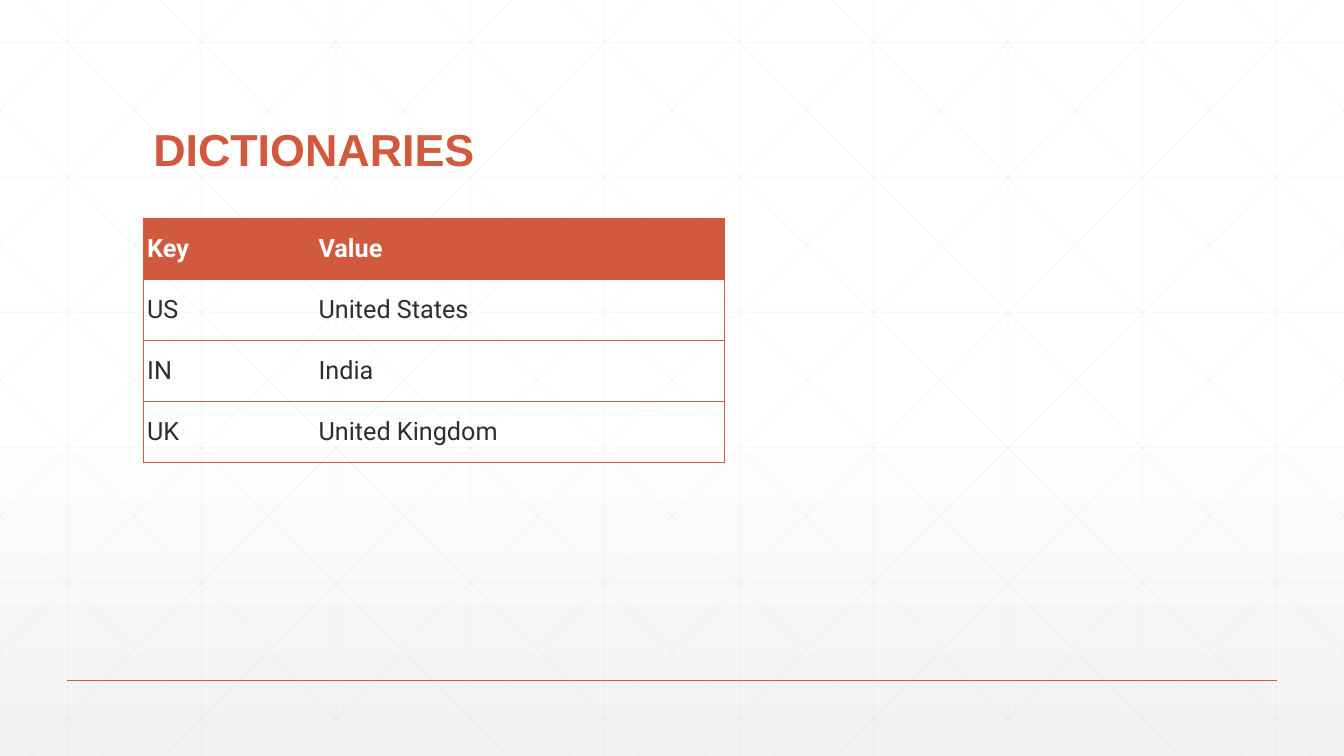
"""Build the dictionaries slide: a faint lattice, a title and a key-value table."""
from pptx import Presentation
from pptx.dml.color import RGBColor
from pptx.enum.shapes import MSO_CONNECTOR
from pptx.enum.text import MSO_ANCHOR, MSO_AUTO_SIZE
from pptx.oxml import parse_xml
from pptx.oxml.ns import nsdecls, qn
from pptx.util import Inches, Pt

STRAIGHT = MSO_CONNECTOR.STRAIGHT
MIDDLE, BOTTOM = MSO_ANCHOR.MIDDLE, MSO_ANCHOR.BOTTOM
NO_FIT = MSO_AUTO_SIZE.NONE
PLAIN = "{2D5ABB26-0587-4C30-8999-92F81FD0307C}"
THEME = {
    "accent": "D15A3E", "ink": "2D2E2D", "white": "FFFFFF",
    "grid": "D9D9D9", "fade": "F2F2F2",
    "head": "Arial", "body": "Roboto", "big": Pt(32), "text": Pt(18),
}
WIDE, HIGH = 13.33, 7.5
COL, ROW = WIDE / 10, HIGH / 5.6
LEFT, TOP = 1.42, 2.17
PAD = Inches(0.04)
PAIRS = [("Key", "Value"), ("US", "United States"), ("IN", "India"), ("UK", "United Kingdom")]


def draw(start, end, color, width, alpha=100):
    """Add a straight line between two points in inches."""
    line = slide.shapes.add_connector(STRAIGHT, *map(Inches, (*start, *end)))
    line.line.width = Pt(width)
    line.line.color.rgb = RGBColor.from_string(color)
    tint = line._element.spPr.find(".//" + qn("a:srgbClr"))
    tint.append(parse_xml(f'<a:alpha {nsdecls("a")} val="{alpha * 1000}"/>'))
    line._element.spPr.append(parse_xml(f'<a:effectLst {nsdecls("a")}/>'))


def style(item, form):
    """Set attributes from a dict of format values."""
    for name, value in form.items():
        setattr(item, name, value)


deck = Presentation()
style(deck, {"slide_width": Inches(WIDE), "slide_height": Inches(HIGH)})
slide = deck.slides.add_slide(deck.slide_layouts[5])

stops = "".join(
    f'<a:gs pos="{spot * 1000}"><a:srgbClr val="{THEME[name]}"/></a:gs>'
    for spot, name in ((0, "white"), (53, "white"), (100, "fade")))
slide._element.cSld.insert(0, parse_xml(
    f'<p:bg {nsdecls("p", "a")}><p:bgPr><a:gradFill><a:gsLst>{stops}</a:gsLst>'
    '<a:lin ang="5400000" scaled="0"/></a:gradFill><a:effectLst/></p:bgPr></p:bg>'))

mesh = []
for i in range(10):
    x = (i + 0.5) * COL
    mesh.append(((x, 0), (x, HIGH)))
for i in range(6):
    y = 0.42 + i * ROW
    mesh.append(((0, y), (WIDE, y)))
for i in range(-5, 10):
    x = 0.25 + i * COL
    near, far = max(x, 0), min(x + 7.45, WIDE)
    slope = HIGH / 7.45
    rise, fall = (near - x) * slope, (far - x) * slope
    mesh.append(((near, rise), (far, fall)))
    mesh.append(((WIDE - near, rise), (WIDE - far, fall)))
for start, end in mesh:
    draw(start, end, THEME["grid"], 0.5, 25)
draw((COL / 2, HIGH * 0.9), (WIDE - COL / 2, HIGH * 0.9), THEME["accent"], 1)

title = slide.shapes.title
slide.shapes._spTree.append(title._element)
style(title, {"left": Inches(LEFT), "top": Inches(0.55),
              "width": Inches(10.5), "height": Inches(1.25)})
title.text = "DICTIONARIES"
style(title.text_frame, {"auto_size": NO_FIT, "vertical_anchor": BOTTOM, "word_wrap": True})
para = title.text_frame.paragraphs[0]
style(para, {"line_spacing": 0.9, "alignment": 1})
font = para.runs[0].font
style(font, {"name": THEME["head"], "size": THEME["big"], "bold": True})
font.color.rgb = RGBColor.from_string(THEME["accent"])

table = slide.shapes.add_table(
    len(PAIRS), 2, *map(Inches, (LEFT, TOP, 5.76, 2.42))).table
style(table, {"first_row": True, "horz_banding": False})
table._tbl.tblPr.find(qn("a:tableStyleId")).text = PLAIN
style(table.columns[0], {"width": Inches(1.7)})
style(table.columns[1], {"width": Inches(4.06)})

for r, pair in enumerate(PAIRS):
    head = r == 0
    for c, word in enumerate(pair):
        cell = table.cell(r, c)
        cell.text = word
        style(cell, {"vertical_anchor": MIDDLE, "margin_left": PAD, "margin_right": PAD,
                     "margin_top": PAD, "margin_bottom": PAD})
        for side in ("RTB" if c else "LTB"):
            cell._tc.get_or_add_tcPr().append(parse_xml(
                f'<a:ln{side} {nsdecls("a")} w="{Pt(0.5)}"><a:solidFill>'
                f'<a:srgbClr val="{THEME["accent"]}"/></a:solidFill></a:ln{side}>'))
        if head:
            cell.fill.solid()
            cell.fill.fore_color.rgb = RGBColor.from_string(THEME["accent"])
        else:
            cell.fill.background()
        font = cell.text_frame.paragraphs[0].runs[0].font
        style(font, {"name": THEME["body"], "size": THEME["text"], "bold": head})
        font.color.rgb = RGBColor.from_string(THEME["white" if head else "ink"])

deck.save("out.pptx")
